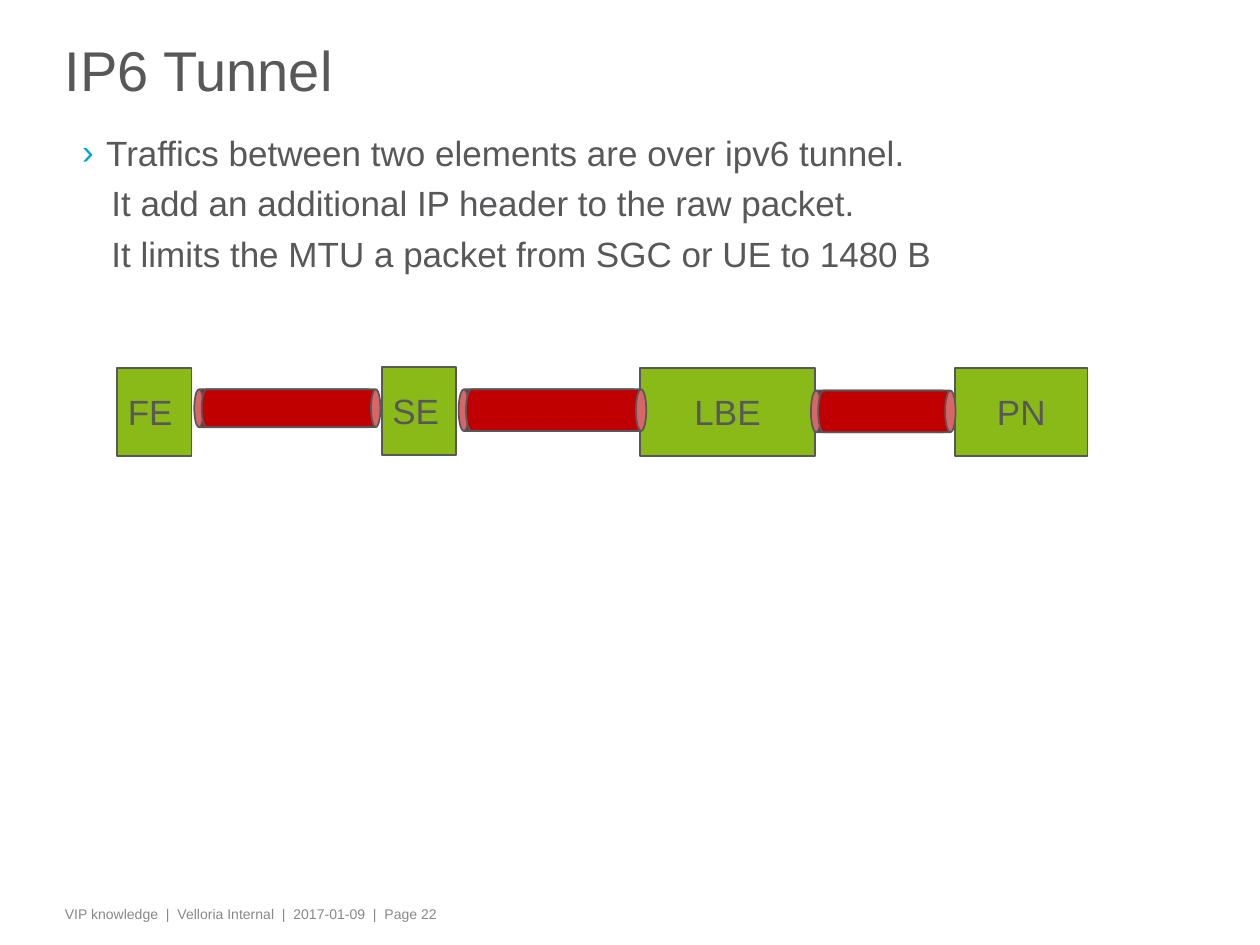
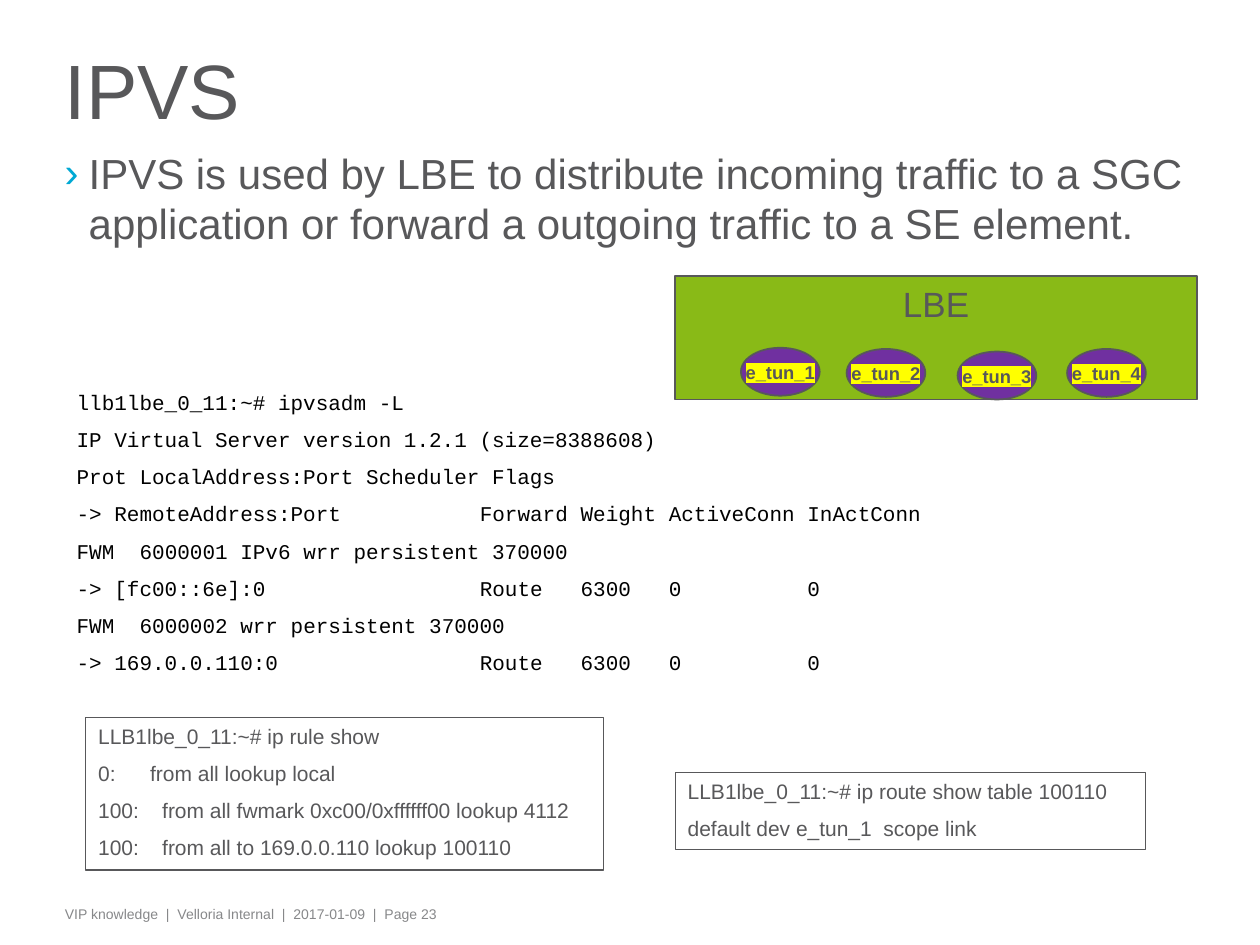
from lxml import etree
from pptx import Presentation
from pptx.dml.color import RGBColor
from pptx.enum import shapes, text
from pptx.oxml import ns
from pptx.util import Pt

GREY = RGBColor(0x58, 0x58, 0x5A)
FOOTER_GREY = RGBColor(0x87, 0x88, 0x8A)
CYAN = RGBColor(0x00, 0xA9, 0xD4)
GREEN = RGBColor(0x89, 0xBA, 0x17)
RED = RGBColor(0xC0, 0x00, 0x00)
PURPLE = RGBColor(0x70, 0x30, 0xA0)
YELLOW = RGBColor(0xFF, 0xFF, 0x00)
BLACK = RGBColor(0x00, 0x00, 0x00)

SHAPE = shapes.MSO_SHAPE
LEFT, CENTER = text.PP_ALIGN.LEFT, text.PP_ALIGN.CENTER
TOP, MIDDLE = text.MSO_ANCHOR.TOP, text.MSO_ANCHOR.MIDDLE

SLIDE_INSETS = (6, 3.6)
BODY_INSETS = (6, 0)
CONSOLE_INSETS = (7.2, 3.6)
HANGING = 13.7
MONO_CHAR = 7.2  # width of one Courier New character at 12 pt


def set_all(target, values):
    for name, value in values.items():
        setattr(target, name, value)


def add_xml(parent, tag, **attributes):
    return etree.SubElement(parent, ns.qn(tag), attributes)


def add_bullet(paragraph):
    props = paragraph._p.get_or_add_pPr()
    add_xml(add_xml(props, "a:buClr"), "a:srgbClr", val=str(CYAN))
    add_xml(props, "a:buFont", typeface="Arial")
    add_xml(props, "a:buChar", char="›")


def indent(paragraph, left, first=0):
    props = paragraph._p.get_or_add_pPr()
    props.set("marL", str(Pt(left)))
    props.set("indent", str(Pt(first)))


def add_tab_stops(paragraph, stops):
    tab_list = add_xml(paragraph._p.get_or_add_pPr(), "a:tabLst")
    for stop in stops:
        add_xml(tab_list, "a:tab", pos=str(Pt(stop)), algn="l")


def highlight(run, color):
    latin = run._r.rPr.find(ns.qn("a:latin"))
    mark = etree.Element(ns.qn("a:highlight"))
    add_xml(mark, "a:srgbClr", val=str(color))
    latin.addprevious(mark)


class Deck:
    """Holds the shared style and the slide being filled."""

    def __init__(self):
        self.prs = Presentation()
        self.prs.slide_width, self.prs.slide_height = Pt(720), Pt(540)
        self.slide = None

    def start_slide(self, title, page, top, height, size):
        self.slide = self.prs.slides.add_slide(self.prs.slide_layouts[5])
        heading = self.slide.shapes.title
        set_all(heading, dict(left=Pt(31), top=Pt(top),
                              width=Pt(590.4), height=Pt(height)))
        self.put_text(heading, [title], size, anchor=MIDDLE, insets=BODY_INSETS)
        heading.text_frame.paragraphs[0].line_spacing = 0.75
        parts = ["VIP knowledge", "Velloria Internal", "2017-01-09", f"Page {page}"]
        self.text_box((31, 514, 582.5, 17.3), ["  |  ".join(parts)], 8,
                      color=FOOTER_GREY)

    def put_text(self, shape, lines, size, color=GREY, font="Arial", bold=False,
                 align=LEFT, anchor=TOP, insets=SLIDE_INSETS, gap=0, wrap=True):
        """Fill a shape with one paragraph a line and return the paragraphs."""
        frame = shape.text_frame
        side, edge = map(Pt, insets)
        set_all(frame, dict(word_wrap=wrap, vertical_anchor=anchor,
                            auto_size=text.MSO_AUTO_SIZE.NONE,
                            margin_left=side, margin_right=side,
                            margin_top=edge, margin_bottom=edge))
        for number, line in enumerate(lines):
            paragraph = frame.add_paragraph() if number else frame.paragraphs[0]
            set_all(paragraph, dict(alignment=align,
                                    space_before=Pt(gap if number else 0)))
            run = paragraph.add_run()
            run.text = line
            set_all(run.font, dict(size=Pt(size), name=font, bold=bold))
            run.font.color.rgb = color
        return frame.paragraphs

    def text_box(self, box, lines, size, **style):
        holder = self.slide.shapes.add_textbox(*map(Pt, box))
        return self.put_text(holder, lines, size, **style)

    def body(self, box, lines, size):
        """Text whose first line has a bullet; the others sit below it."""
        first, *others = self.text_box(box, lines, size, insets=BODY_INSETS, gap=5)
        indent(first, HANGING, -HANGING)
        add_bullet(first)
        for paragraph in others:
            indent(paragraph, 16.7)

    def shape(self, kind, box, fill=None, line_width=1, parent=None):
        new = (parent or self.slide).shapes.add_shape(kind, *map(Pt, box))
        new.shadow.inherit = False
        if fill is None:
            new.fill.background()
        else:
            new.fill.solid()
            new.fill.fore_color.rgb = fill
        new.line.color.rgb = GREY
        new.line.width = Pt(line_width)
        return new

    def element(self, name, box, align=CENTER, anchor=MIDDLE):
        self.put_text(self.shape(SHAPE.RECTANGLE, box, GREEN), [name], 20,
                      align=align, anchor=anchor)

    def tunnel(self, center_x, center_y, length, thickness):
        """Two overlapping cans, turned so that each end shows a cap."""
        pair = self.slide.shapes.add_group_shape()
        for angle, shift in ((270, -2.1), (90, 2.1)):
            box = (center_x + shift - thickness / 2, center_y - length / 2,
                   thickness, length)
            self.shape(SHAPE.CAN, box, RED, parent=pair).rotation = angle

    def tunnel_end(self, name, left, top):
        oval = self.shape(SHAPE.OVAL, (left, top, 45, 27.4), PURPLE)
        label, = self.put_text(oval, [name], 10.5, bold=True, align=CENTER,
                               wrap=False)
        highlight(label.runs[0], YELLOW)

    def console_box(self, box, lines):
        return self.put_text(self.shape(SHAPE.RECTANGLE, box, line_width=0.75),
                             lines, 12, insets=CONSOLE_INSETS, gap=6.7)


def build_tunnel_slide(deck):
    deck.start_slide("IP6 Tunnel", 22, top=18.7, height=50.4, size=32)
    deck.body((41, 74.9, 700.6, 94.3), [
        "Traffics between two elements are over ipv6 tunnel.",
        "It add an additional IP header to the raw packet.",
        "It limits the MTU a packet from SGC or UE to 1480 B"], 20)
    for name, left, top, width, align in (
            ("FE", 67, 210.2, 42.5, LEFT), ("SE", 218.2, 209.6, 42.5, LEFT),
            ("LBE", 365.8, 210.2, 100, CENTER), ("PN", 545.8, 210.2, 75.6, CENTER)):
        deck.element(name, (left, top, width, 50.4), align)
    for tunnel in ((164.2, 233.3, 102.2, 21.6), (315.7, 234.4, 103, 23.8),
                   (504.7, 235.1, 78.5, 23.8)):
        deck.tunnel(*tunnel)


def build_ipvs_slide(deck):
    deck.start_slide("IPVS", 23, top=13.7, height=85.7, size=44)
    deck.body((31, 84.2, 657.4, 80.6), [
        "IPVS is used by LBE to distribute incoming traffic to a SGC "
        "application or forward a outgoing traffic to a SE element."], 24)

    listing = deck.text_box((36.7, 218.9, 581, 211), [
        "llb1lbe_0_11:~# ipvsadm -L",
        "IP Virtual Server version 1.2.1 (size=8388608)",
        "Prot LocalAddress:Port Scheduler Flags",
        "-> RemoteAddress:Port\tForward\tWeight\tActiveConn\tInActConn",
        "FWM\t6000001 IPv6 wrr persistent 370000",
        "-> [fc00::6e]:0\tRoute\t6300\t0\t0",
        "FWM\t6000002 wrr persistent 370000",
        "-> 169.0.0.110:0\tRoute\t6300\t0\t0"],
        12, color=BLACK, font="Courier New", insets=CONSOLE_INSETS, gap=6.9)
    for row in listing:
        add_tab_stops(row, [MONO_CHAR * column for column in (5, 32, 40, 47, 58)])

    deck.element("LBE", (385.9, 157.7, 298.1, 70.6), anchor=TOP)
    ends = ((423.4, 198.7), (483.8, 199.4), (547.2, 200.9), (609.8, 199.4))
    for number, (left, top) in enumerate(ends, 1):
        deck.tunnel_end(f"e_tun_{number}", left, top)

    deck.console_box((385.9, 441.4, 268.9, 43.9), [
        "LLB1lbe_0_11:~# ip route show table 100110",
        "default dev e_tun_1  scope link"])
    rules = deck.console_box((49, 410.1, 295.9, 87.1), [
        "LLB1lbe_0_11:~# ip rule show",
        "0:\tfrom all lookup local",
        "100:\tfrom all fwmark 0xc00/0xffffff00 lookup 4112",
        "100:\tfrom all to 169.0.0.110 lookup 100110"])
    for rule, stop in zip(rules[1:], (29.7, 36.6, 36.6)):
        add_tab_stops(rule, [stop])


def main():
    deck = Deck()
    build_tunnel_slide(deck)
    build_ipvs_slide(deck)
    deck.prs.save("out.pptx")


if __name__ == "__main__":
    main()
